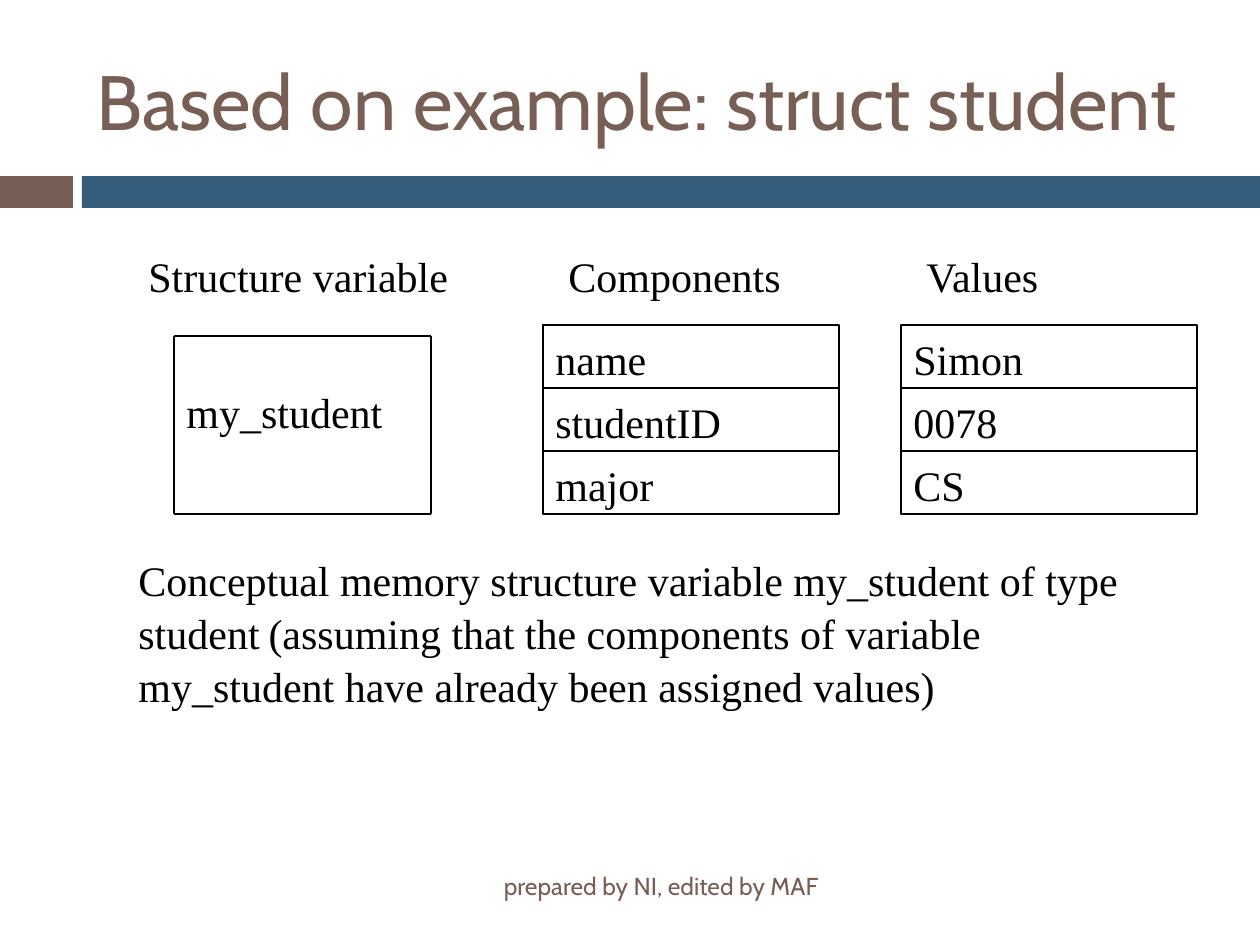
from lxml.etree import SubElement
from pptx import Presentation
from pptx.dml.color import RGBColor
from pptx.enum.shapes import MSO_CONNECTOR, MSO_SHAPE
from pptx.enum.text import MSO_ANCHOR, PP_ALIGN
from pptx.oxml.ns import qn
from pptx.util import Emu, Inches, Pt

BROWN = RGBColor(0x77, 0x5F, 0x55)
BLUE = RGBColor(0x35, 0x5D, 0x7E)
BLACK = RGBColor(0, 0, 0)

HEADING = {"name": "Cabin", "size": Pt(44), "color": BROWN}
FOOTER = {"name": "Cabin", "size": Pt(14), "color": BROWN}
BODY = {"name": "Times New Roman", "size": Pt(24), "color": BLACK}
SMALL = {**BODY, "size": Pt(20)}


def px(n):
    return Emu(round(n * Inches(1) / 126))


class SlideBuilder:
    line_width = Pt(0.75)

    def __init__(self, slide):
        self.s = slide

    def format_run(self, r, style):
        for key, value in style.items():
            if key == "color":
                r.font.color.rgb = value
            else:
                setattr(r.font, key, value)

    def place(self, sp, box):
        for key, value in zip(("left", "top", "width", "height"), box):
            setattr(sp, key, px(value))

    def fill_text(self, sp, runs, align=PP_ALIGN.LEFT,
                  anchor=MSO_ANCHOR.TOP, spacing=1.0):
        tf = sp.text_frame
        tf.word_wrap = True
        tf.vertical_anchor = anchor
        p = tf.paragraphs[0]
        p.alignment = align
        p.line_spacing = spacing
        for text, style in runs:
            r = p.add_run()
            r.text = text
            self.format_run(r, style)

    def title(self, text, box):
        sp = self.s.shapes.title
        self.place(sp, box)
        self.fill_text(sp, [(text, HEADING)], anchor=MSO_ANCHOR.MIDDLE)

    def text(self, runs, box, **layout):
        sp = self.s.shapes.add_textbox(*map(px, box))
        self.fill_text(sp, runs, **layout)

    def rect(self, box, fill=None):
        sp = self.s.shapes.add_shape(MSO_SHAPE.RECTANGLE, *map(px, box))
        sp.shadow.inherit = False
        if fill is None:
            sp.fill.background()
            sp.line.color.rgb = BLACK
            sp.line.width = self.line_width
        else:
            sp.fill.solid()
            sp.fill.fore_color.rgb = fill
            sp.line.fill.background()
        return sp

    def cell(self, text, box):
        self.fill_text(self.rect(box), [(text, BODY)], spacing=1.05)

    def line(self, x1, y1, x2, y2):
        c = self.s.shapes.add_connector(
            MSO_CONNECTOR.STRAIGHT, *map(px, (x1, y1, x2, y2)))
        c.line.color.rgb = BLACK
        c.line.width = self.line_width
        SubElement(c._element.spPr, qn("a:effectLst"))


def main():
    prs = Presentation()
    prs.slide_width, prs.slide_height = Inches(10), Inches(7.5)
    b = SlideBuilder(prs.slides.add_slide(prs.slide_layouts[5]))

    # Title band
    b.rect((0, 176, 73, 32), BROWN)
    b.rect((82, 176, 1178, 32), BLUE)
    b.title("Based on example: struct student", (84, 32, 1124, 136))

    # Column headings
    for text, left, width in (("Structure variable", 136, 394),
                              ("Components", 556, 284),
                              ("Values", 914, 185)):
        b.text([(text, BODY)], (left, 242, width, 63), spacing=1.05)

    # Component and value columns
    row = 63
    for left, words in ((543, ("name", "studentID", "major")),
                        (901, ("Simon", "0078", "CS"))):
        for i, word in enumerate(words):
            b.cell(word, (left, 325 + i * row, 296, row))

    # Variable box drawn from four lines
    left, top, right, bottom = 174, 336, 431, 514
    for y in (top, bottom):
        b.line(left, y, right, y)
    for x in (left, right):
        b.line(x, top, x, bottom)
    b.text([("my_student", BODY)], (left, 378, 296, row), spacing=1.05)

    # Explanation
    b.text([("Conceptual memory structure variable my_student of type student",
             BODY),
            (" ", SMALL),
            ("(assuming that the components of variable my_student have "
             "already been assigned values)", BODY)],
           (126, 546, 1029, 164), spacing=1.05)

    # Footer
    b.text([("prepared by NI, edited by MAF", FOOTER)], (84, 861, 747, 50),
           align=PP_ALIGN.RIGHT, anchor=MSO_ANCHOR.MIDDLE)

    prs.save("out.pptx")


if __name__ == "__main__":
    main()
